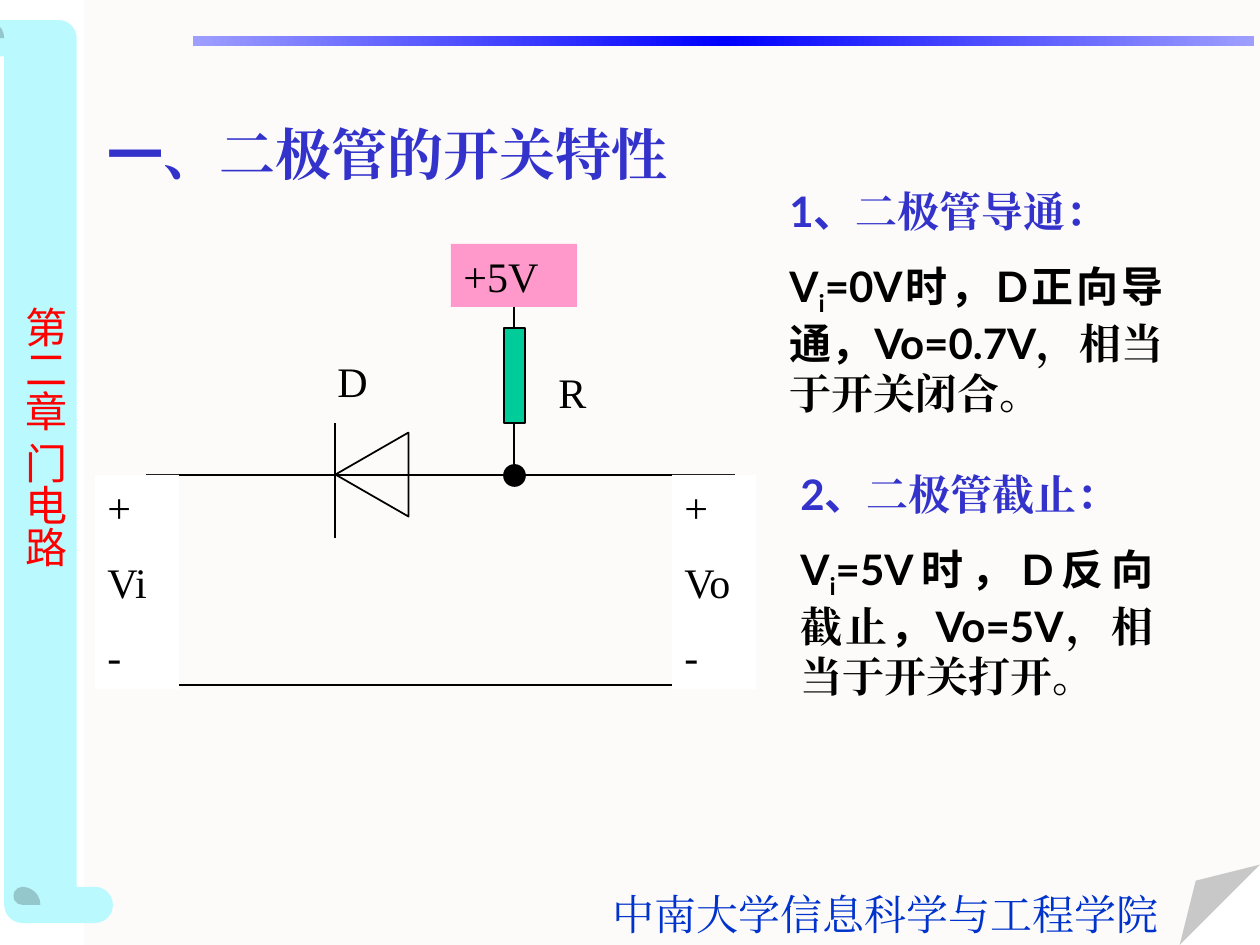
from copy import deepcopy

from pptx import Presentation
from pptx.dml.color import RGBColor
from pptx.enum.shapes import MSO_CONNECTOR, MSO_SHAPE
from pptx.enum.text import MSO_ANCHOR, PP_ALIGN
from pptx.oxml.ns import qn
from pptx.oxml.xmlchemy import OxmlElement
from pptx.util import Pt

PX = 914400 / 126
COLORS = {
    "paper": "FCFBFA", "scroll": "BAF9FE", "bar_edge": "9E9EFF", "bar_middle": "0000FF",
    "school": "0033CC", "chapter": "FF0000", "heading": "3333CC", "black": "000000",
    "white": "FFFFFF", "resistor": "00CC99", "supply": "FF99CC",
}
SERIF, SANS, CHINESE = "Times New Roman", "Lato", "Noto Sans CJK SC"

SCHOOL = "中南大学信息科学与工程学院"
CHAPTER = "第二章 门电路"
TITLE = [("一", SANS), ("、二极管的开关特性", SERIF)]
WIRES = [
    (146, 475, 735, 475), (335, 423, 335, 538), (514, 423, 514, 475),
    (514, 286, 514, 329), (136, 685, 745, 685),
]
LABELS = [
    (["+5V"], (451, 244, 126, 63), "supply"),
    (["+", "Vi", "-"], (95, 475, 84, 214), "white"),
    (["D"], (325, 349, 84, 63), None),
    (["+", "Vo", "-"], (672, 475, 84, 214), "white"),
    (["R"], (546, 360, 53, 63), None),
]
NOTES = [
    ((777, 179, 399, 242), [("1、", SANS), ("二极管导通：", SERIF)],
     [("V", SANS), ("i", SANS, True), ("=0V时，D正向导通，Vo=0.7V", SANS),
      ("，相当于开关闭合。", SERIF)]),
    ((788, 462, 378, 242), [("2、", SANS), ("二极管截止：", SERIF)],
     [("V", SANS), ("i", SANS, True), ("=5V时，D反向", SANS), ("截止", SERIF),
      ("，Vo=5V", SANS), ("，相当于开关打开。", SERIF)]),
]


def emu(*lengths):
    return [round(length * PX) for length in lengths]


def rgb(name):
    return RGBColor.from_string(COLORS[name])


def set_adjustment(shape, value):
    geometry = shape._element.spPr.find(qn("a:prstGeom"))
    guides = geometry.get_or_add_avLst()
    for guide in list(guides):
        guides.remove(guide)
    guide = OxmlElement("a:gd")
    guide.set("name", "adj")
    guide.set("fmla", f"val {round(value * 100000)}")
    guides.append(guide)


def add_shape(page, kind, place, fill=None, outlined=False, adjustment=None, rotation=0):
    shape = page.shapes.add_shape(kind, *emu(*place))
    shape.shadow.inherit = False
    shape.rotation = rotation
    if adjustment is not None:
        set_adjustment(shape, adjustment)
    if fill:
        shape.fill.solid()
        shape.fill.fore_color.rgb = rgb(fill)
    else:
        shape.fill.background()
    if outlined:
        shape.line.color.rgb = rgb("black")
        shape.line.width = Pt(1)
    else:
        shape.line.fill.background()
    return shape


def add_box(page, place, wrap=True):
    box = page.shapes.add_textbox(*emu(*place))
    box.text_frame.word_wrap = wrap
    return box


def add_span(para, text, font, subscript=False, *, color, size=24, bold=False):
    span = para.add_run()
    span.text = text
    span.font.name = font
    span.font.size = Pt(size)
    span.font.bold = bold
    span.font.color.rgb = rgb(color)
    properties = span._r.get_or_add_rPr()
    if subscript:
        properties.set("baseline", "-25000")
    east_asian = OxmlElement("a:ea")
    east_asian.set("typeface", font)
    properties.find(qn("a:latin")).addnext(east_asian)


def add_wire(page, ends):
    wire = page.shapes.add_connector(MSO_CONNECTOR.STRAIGHT, *emu(*ends))
    wire.line.color.rgb = rgb("black")
    wire.line.width = Pt(1)
    wire._element.spPr.append(OxmlElement("a:effectLst"))


def add_background(page):
    add_shape(page, MSO_SHAPE.FOLDED_CORNER, (84, 0, 1176, 945), "paper", adjustment=0.085)
    add_shape(page, MSO_SHAPE.HORIZONTAL_SCROLL, (-411, 399, 903, 145), "scroll",
              adjustment=0.25, rotation=270)
    bar = add_shape(page, MSO_SHAPE.RECTANGLE, (193, 36, 1061, 10))
    bar.fill.gradient()
    bar.fill.gradient_angle = 0
    stop_list = bar._element.spPr.find(qn("a:gradFill")).find(qn("a:gsLst"))
    stop_list.append(deepcopy(stop_list[-1]))
    names = ("bar_edge", "bar_middle", "bar_edge")
    for stop, position, name in zip(bar.fill.gradient_stops, (0, 0.5, 1), names):
        stop.position = position
        stop.color.rgb = rgb(name)
    school = add_box(page, (600, 882, 571, 63), wrap=False)
    add_span(school.text_frame.paragraphs[0], SCHOOL, SERIF, color="school")
    chapter = add_box(page, (0, 294, 76, 286), wrap=False)
    chapter.text_frame._txBody.bodyPr.set("vert", "eaVert")
    add_span(chapter.text_frame.paragraphs[0], CHAPTER, CHINESE, color="chapter")


def add_label(page, lines, place, fill):
    box = add_shape(page, MSO_SHAPE.RECTANGLE, place, fill) if fill else add_box(page, place)
    frame = box.text_frame
    frame.vertical_anchor = MSO_ANCHOR.TOP
    for index, line in enumerate(lines):
        para = frame.add_paragraph() if index else frame.paragraphs[0]
        para.alignment = PP_ALIGN.LEFT
        if index:
            para.space_before = Pt(14)
        add_span(para, line, SERIF, color="black")


def add_circuit(page):
    for ends in WIRES:
        add_wire(page, ends)
    add_shape(page, MSO_SHAPE.ISOSCELES_TRIANGLE, (330, 438, 84, 73), outlined=True, rotation=270)
    add_shape(page, MSO_SHAPE.RECTANGLE, (504, 328, 21, 95), "resistor", outlined=True)
    for label in LABELS:
        add_label(page, *label)
    add_shape(page, MSO_SHAPE.OVAL, (504, 465, 21, 21), "black", outlined=True)


def add_note(page, place, heading, body):
    frame = add_box(page, place).text_frame
    for span in heading:
        add_span(frame.paragraphs[0], *span, color="heading", bold=True)
    para = frame.add_paragraph()
    para.alignment = PP_ALIGN.JUSTIFY
    para.space_before = Pt(14)
    for span in body:
        add_span(para, *span, color="black", bold=True)


def main():
    deck = Presentation()
    deck.slide_width, deck.slide_height = emu(1260, 945)
    page = deck.slides.add_slide(deck.slide_layouts[6])
    add_background(page)
    title = add_box(page, (95, 95, 728, 116)).text_frame
    title.vertical_anchor = MSO_ANCHOR.MIDDLE
    for span in TITLE:
        add_span(title.paragraphs[0], *span, color="heading", size=32, bold=True)
    add_circuit(page)
    for note in NOTES:
        add_note(page, *note)
    deck.save("out.pptx")


if __name__ == "__main__":
    main()
